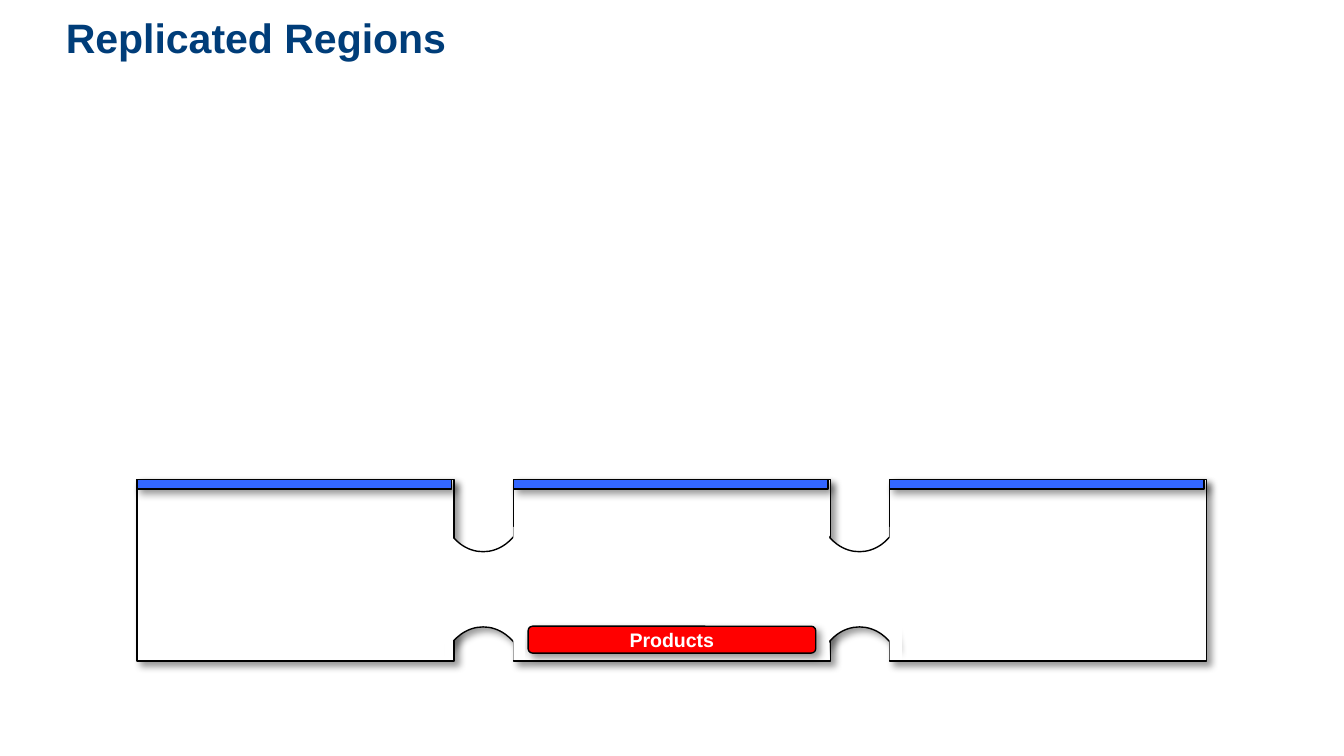
from lxml import etree
from pptx import Presentation
from pptx.dml.color import RGBColor
from pptx.enum.shapes import MSO_SHAPE
from pptx.enum.text import MSO_ANCHOR, PP_ALIGN
from pptx.oxml.ns import qn
from pptx.util import Inches, Pt

RECTANGLE = MSO_SHAPE.RECTANGLE
ROUNDED = MSO_SHAPE.ROUNDED_RECTANGLE
MOON = MSO_SHAPE.MOON
MIDDLE = MSO_ANCHOR.MIDDLE
LEFT, CENTER = PP_ALIGN.LEFT, PP_ALIGN.CENTER

WHITE, BLACK, BLUE, RED, NAVY = "FFFFFF", "000000", "3366FF", "FF0000", "003D79"
TOP = 3.57
FIRST_LEFT, PITCH = 1.02, 2.8
# White covers that open the joint: offset from the joint's left, top, width, height
COVERS = [
    (0.02, 4.13, 0.51, 0.5),
    (0, 3.92, 0.06, 0.99),
    (0.51, 3.92, 0.09, 0.99),
    (0.04, 4.08, 0.05, 0.62),
    (0.47, 4.05, 0.07, 0.66),
]


def color(value):
    return RGBColor.from_string(value)


class RegionSlide:
    font_name = "Arial"
    line_width = Pt(0.75)

    def __init__(self, page):
        self.page = page

    def format_text(self, frame, text, size, fill, align):
        frame.text = text
        frame.vertical_anchor = MIDDLE
        para = frame.paragraphs[0]
        para.alignment = align
        font = para.runs[0].font
        font.name, font.size, font.bold = self.font_name, Pt(size), True
        font.color.rgb = color(fill)

    def title(self, text, left, top, width, height):
        box = self.page.shapes.title
        box.left, box.top = Inches(left), Inches(top)
        box.width, box.height = Inches(width), Inches(height)
        frame = box.text_frame
        frame.margin_left = frame.margin_right = Inches(0.1)
        frame.margin_top = frame.margin_bottom = Inches(0.1)
        self.format_text(frame, text, 22, NAVY, LEFT)

    def shape(self, kind, left, top, width, height, fill,
              outlined=True, shadowed=True, parent=None):
        shapes = (parent or self.page).shapes
        box = shapes.add_shape(kind, Inches(left), Inches(top), Inches(width), Inches(height))
        box.fill.solid()
        box.fill.fore_color.rgb = color(fill)
        if outlined:
            box.line.color.rgb = color(BLACK)
            box.line.width = self.line_width
        else:
            box.line.fill.background()
        box.shadow.inherit = False
        if shadowed:
            self.add_shadow(box)
        return box

    def add_shadow(self, box):
        effects = box._element.spPr.find(qn("a:effectLst"))
        shadow = etree.SubElement(effects, qn("a:outerShdw"), blurRad=str(Pt(4)),
                                  dist=str(Pt(3)), dir="2700000", rotWithShape="0")
        tint = etree.SubElement(shadow, qn("a:srgbClr"), val=BLACK)
        etree.SubElement(tint, qn("a:alpha"), val="40000")

    def joint(self, left):
        group = self.page.shapes.add_group_shape()
        for top, angle, shadowed in [(4.4, 90, True), (3.84, 270, False)]:
            moon = self.shape(MOON, left + 0.12, top, 0.33, 0.53, WHITE,
                              shadowed=shadowed, parent=group)
            moon.rotation = angle
        for offset, top, width, height in COVERS:
            self.shape(RECTANGLE, left + offset, top, width, height, WHITE,
                       outlined=False, shadowed=False, parent=group)

    def label(self, text, left, top, width, height, fill):
        box = self.shape(ROUNDED, left, top, width, height, fill)
        box.adjustments[0] = 0.167
        box.text_frame.word_wrap = False
        self.format_text(box.text_frame, text, 10.5, WHITE, CENTER)


def main():
    deck = Presentation()
    deck.slide_width = Inches(10)
    deck.slide_height = deck.slide_width * 9 // 16
    slide = RegionSlide(deck.slides.add_slide(deck.slide_layouts[5]))

    slide.title("Replicated Regions", 0.39, 0.14, 9.29, 0.27)

    # Three regions with a blue bar on top
    for index in range(3):
        left = FIRST_LEFT + index * PITCH
        slide.shape(RECTANGLE, left, TOP, 2.36, 1.35, WHITE)
        slide.shape(RECTANGLE, left, TOP, 2.34, 0.07, BLUE)

    # Joints that merge neighbouring regions
    for index in range(2):
        slide.joint(3.31 + index * PITCH)

    # Replicated data
    slide.label("Products", 3.93, 4.66, 2.14, 0.2, RED)

    deck.save("out.pptx")


if __name__ == "__main__":
    main()
